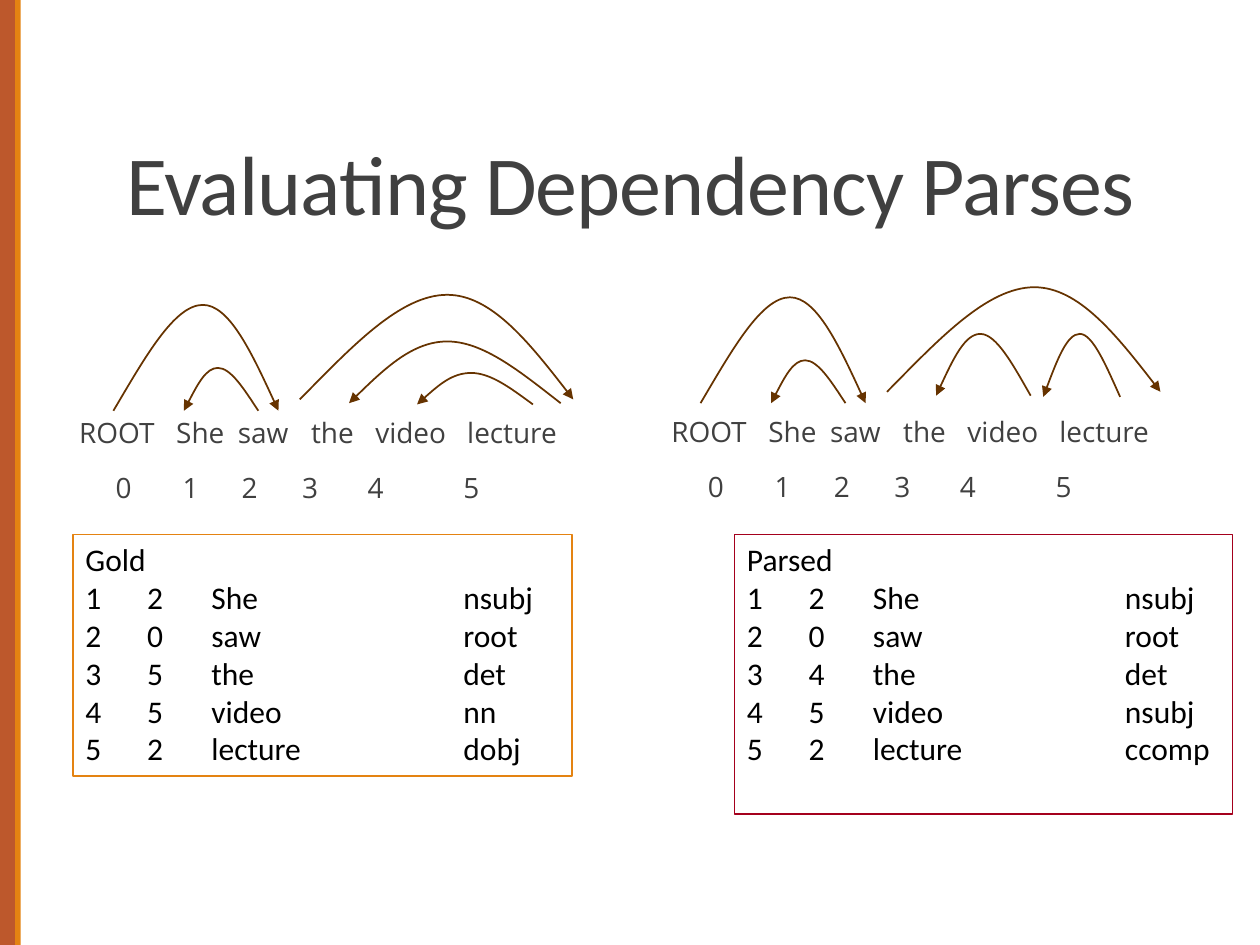
"""Build a slide comparing gold and parsed dependency arcs for one sentence."""
from lxml import etree
from pptx import Presentation
from pptx import util as u
from pptx.dml.color import RGBColor
from pptx.enum import shapes, text
from pptx.oxml.ns import qn

RUST = RGBColor(0xBD, 0x58, 0x2C)
ORANGE = RGBColor(0xE4, 0x83, 0x12)
CRIMSON = RGBColor(0xA4, 0x00, 0x1D)
BROWN = RGBColor(0x66, 0x33, 0x00)
GREY = RGBColor(0x40, 0x40, 0x40)
BLACK = RGBColor(0, 0, 0)

prs = Presentation()
prs.slide_width, prs.slide_height = u.Inches(10), u.Inches(7.5)
COL, ROW = prs.slide_width / 100, prs.slide_height / 75
slide = prs.slides.add_slide(prs.slide_layouts[5])


def cells(left, top, width, height):
    return int(left * COL), int(top * ROW), int(width * COL), int(height * ROW)


def draw_arc(start, apex, end, base, top):
    points = [(int(x * COL), int(y * ROW)) for x, y in ((start, base), (apex, top), (end, base))]
    builder = slide.shapes.build_freeform(*points[0])
    builder.add_line_segments(points[1:], close=False)
    arc = builder.convert_to_shape()
    arc.shadow.inherit = False
    arc.fill.background()
    arc.line.color.rgb, arc.line.width = BROWN, u.Pt(1)
    etree.SubElement(arc.line._get_or_add_ln(), qn("a:tailEnd"), type="triangle")
    curve = next(arc._element.iter(qn("a:path")))
    (x0, y0), (x1, y1), (x2, y2) = [
        (int(pt.get("x")), int(pt.get("y"))) for pt in curve.iter(qn("a:pt"))]
    for segment in curve.findall(qn("a:lnTo")):
        curve.remove(segment)
    middle = (y0 + y1) / 2
    rise, fall = x1 - x0, x2 - x1
    for controls in (((x0 + 0.35 * rise, middle), (x0 + 0.68 * rise, y1), (x1, y1)),
                     ((x1 + 0.35 * fall, y1), (x1 + 0.68 * fall, middle), (x2, y2))):
        bezier = etree.SubElement(curve, qn("a:cubicBezTo"))
        for x, y in controls:
            etree.SubElement(bezier, qn("a:pt"), x=str(int(x)), y=str(int(y)))


for left, width, color in ((0, 1.2, RUST), (1.2, 0.45, ORANGE)):
    stripe = slide.shapes.add_shape(shapes.MSO_SHAPE.RECTANGLE, *cells(left, 0, width, 75))
    stripe.shadow.inherit = False
    stripe.fill.solid()
    stripe.fill.fore_color.rgb = color
    stripe.line.fill.background()

title = slide.shapes.title
title.left, title.top, title.width, title.height = cells(9, 3.1, 82.5, 15.9)
title.text_frame.text = "Evaluating Dependency Parses"
title.text_frame.auto_size = text.MSO_AUTO_SIZE.NONE
title.text_frame.vertical_anchor = text.MSO_ANCHOR.BOTTOM
heading = title.text_frame.paragraphs[0]
heading.alignment, heading.line_spacing = text.PP_ALIGN.LEFT, 0.85
heading.font.name, heading.font.size, heading.font.color.rgb = "Calibri", u.Pt(48), GREY
heading.runs[0]._r.get_or_add_rPr().set("spc", "-50")

SENTENCE_LINES = [
    ("ROOT\tShe\tsaw\tthe\tvideo\tlecture", (7.7, 12.6, 18.4, 23.5, 30.8)),
    ("\t0\t1\t2\t3\t4\t5", (2.9, 8.2, 12.9, 17.7, 22.9, 30.5)),
]
SHARED_ARCS = [(9, 16.1, 22.1, 32.6, 24.2), (20.5, 17.3, 14.6, 32.6, 29.2),
               (23.8, 35.5, 45.5, 31.7, 23.4)]
PARSES = [
    {"name": "Gold", "sentence": (5.3, 32.8), "box": (5.8, 42.4, 39.6, 19.2),
     "color": ORANGE, "shift": (0, 0),
     "arcs": [(44.5, 35.5, 27.7, 32, 27.1), (42.3, 37.4, 33.1, 32.1, 29.6)],
     "relations": [(2, "She", "nsubj"), (0, "saw", "root"), (5, "the", "det"),
                   (5, "video", "nn"), (2, "lecture", "dobj")]},
    {"name": "Parsed", "sentence": (52.3, 32.7), "box": (58.3, 42.4, 39.5, 22.2),
     "color": CRIMSON, "shift": (46.6, -0.6),
     "arcs": [(81.8, 77.8, 74.3, 31.4, 26.5), (88.9, 85.7, 82.8, 31.5, 26.5)],
     "relations": [(2, "She", "nsubj"), (0, "saw", "root"), (4, "the", "det"),
                   (5, "video", "nsubj"), (2, "lecture", "ccomp")]},
]

for parse in PARSES:
    sentence = slide.shapes.add_textbox(*cells(*parse["sentence"], 46.1, 10.5)).text_frame
    sentence.word_wrap = True
    for row, (words, stops) in enumerate(SENTENCE_LINES):
        line = sentence.add_paragraph() if row else sentence.paragraphs[0]
        line.text = words
        line.line_spacing, line.space_after = 0.9, u.Pt(2)
        if row:
            line.space_before = u.Pt(12)
        tabs = etree.SubElement(line._p.get_or_add_pPr(), qn("a:tabLst"))
        for stop in stops:
            etree.SubElement(tabs, qn("a:tab"), pos=str(int(stop * COL)), algn="l")
        line.font.name, line.font.size, line.font.color.rgb = "Open Sans", u.Pt(16), GREY

    listing = slide.shapes.add_shape(shapes.MSO_SHAPE.RECTANGLE, *cells(*parse["box"]))
    listing.shadow.inherit = False
    listing.fill.background()
    listing.line.color.rgb, listing.line.width = parse["color"], u.Pt(0.75)
    listing.text_frame.vertical_anchor = text.MSO_ANCHOR.TOP
    relations = [f"{head}\t{word}\t\t{relation}" for head, word, relation in parse["relations"]]
    for row, entry in enumerate([parse["name"], *relations]):
        line = listing.text_frame.add_paragraph() if row else listing.text_frame.paragraphs[0]
        line.text = entry
        line.alignment = text.PP_ALIGN.LEFT
        if row:
            props = line._p.get_or_add_pPr()
            indent = int(4.9 * COL)
            props.set("marL", str(indent))
            props.set("indent", str(-indent))
            props.set("defTabSz", str(int(10 * COL)))
            etree.SubElement(props, qn("a:buAutoNum"), type="arabicPlain")
        line.font.name, line.font.size, line.font.color.rgb = "Calibri", u.Pt(18), BLACK

    right, down = parse["shift"]
    for start, apex, end, base, top in SHARED_ARCS:
        draw_arc(start + right, apex + right, end + right, base + down, top + down)
    for arc_points in parse["arcs"]:
        draw_arc(*arc_points)

prs.save("out.pptx")
